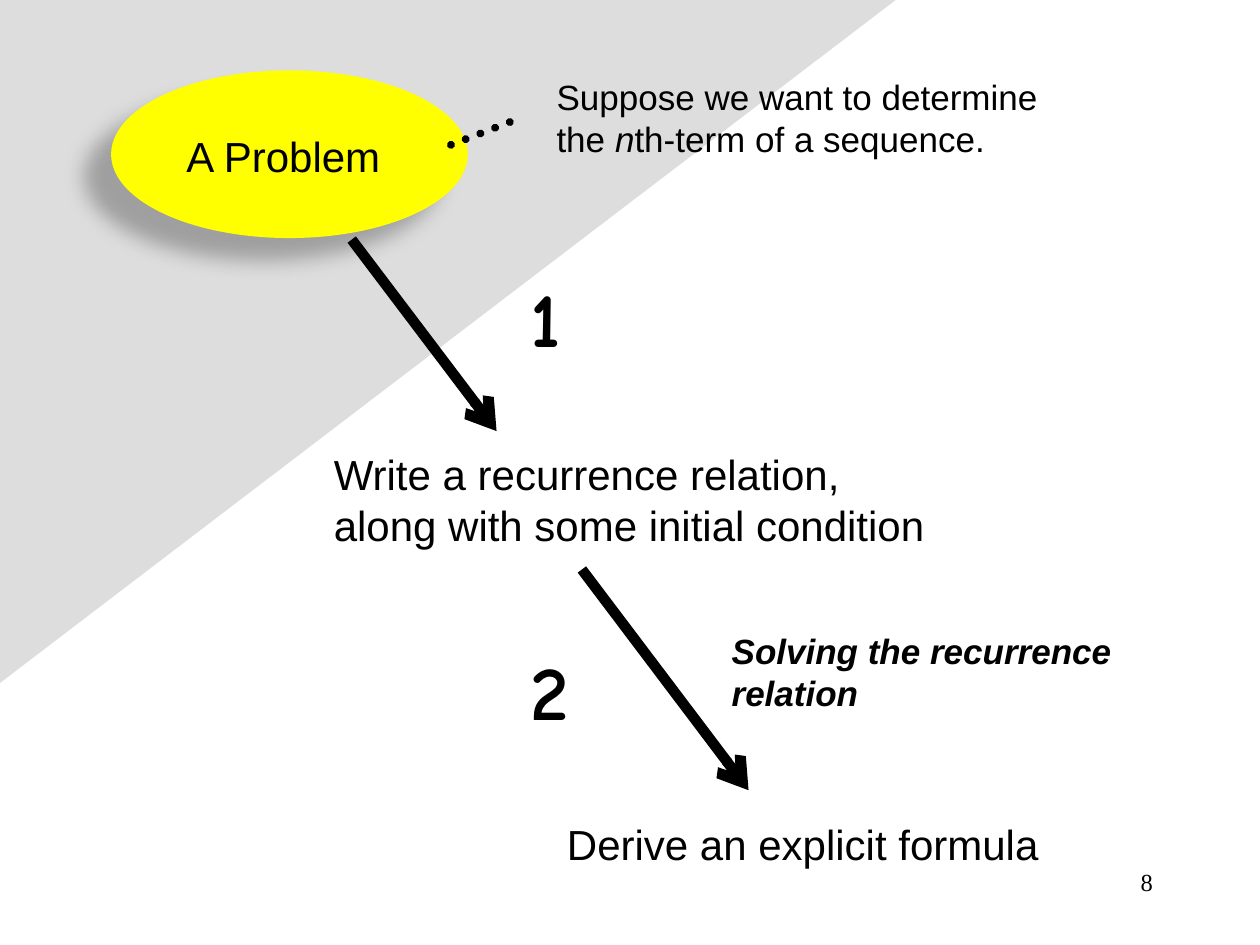
import pptx
import pptx.dml.color
import pptx.enum.dml
import pptx.enum.shapes
import pptx.enum.text
import pptx.oxml
import pptx.util
from pptx.util import Cm

SHAPE = pptx.enum.shapes.MSO_SHAPE
ALIGN = pptx.enum.text.PP_ALIGN
NS = 'xmlns:a="http://schemas.openxmlformats.org/drawingml/2006/main"'


def rgb(value):
    return pptx.dml.color.RGBColor.from_string(value)


def add_text(text, x, y, w, h, size=24, font="Arial", bold=False,
             italic=False, align=ALIGN.LEFT, wrap=False):
    """Add a text box; each line is a paragraph, *marked* parts are italic."""
    tf = s.shapes.add_textbox(Cm(x), Cm(y), Cm(w), Cm(h)).text_frame
    tf.word_wrap = wrap
    for i, line in enumerate(text.split("\n")):
        p = tf.paragraphs[0] if i == 0 else tf.add_paragraph()
        p.alignment = align
        for j, part in enumerate(line.split("*")):
            r = p.add_run()
            r.text = part
            r.font.name = font
            r.font.size = pptx.util.Pt(size)
            r.font.bold = bold
            r.font.italic = italic or j % 2 == 1
            r.font.color.rgb = rgb("000000")


prs = pptx.Presentation()
prs.slide_width, prs.slide_height = Cm(25.4), Cm(19.05)
s = prs.slides.add_slide(prs.slide_layouts[6])

# Corner triangle and problem ellipse
for kind, x, y, w, h, color in [
    (SHAPE.RIGHT_TRIANGLE, 0, 0, 18.06, 13.77, "DDDDDD"),
    (SHAPE.OVAL, 2.24, 1.42, 7.19, 3.38, "FFFF00"),
]:
    sp = s.shapes.add_shape(kind, Cm(x), Cm(y), Cm(w), Cm(h))
    sp.shadow.inherit = False
    sp.fill.solid()
    sp.fill.fore_color.rgb = rgb(color)
    sp.line.fill.background()
    if kind == SHAPE.RIGHT_TRIANGLE:
        sp._element.spPr.xfrm.set("flipV", "1")
    else:
        effects = sp._element.spPr.find(pptx.oxml.ns.qn("a:effectLst"))
        effects.append(pptx.oxml.parse_xml(
            f'<a:outerShdw {NS} blurRad="150000" dist="250000" dir="8460000" '
            'algn="ctr" rotWithShape="0"><a:srgbClr val="000000">'
            '<a:alpha val="28000"/></a:srgbClr></a:outerShdw>'))

# Step arrows and the dotted link to the remark
for x1, y1, x2, y2, width, dotted in [
    (7.09, 4.83, 10.01, 8.69, 6, False),
    (11.73, 11.48, 15.09, 15.93, 6, False),
    (9.09, 2.92, 10.46, 2.39, 4.5, True),
]:
    c = s.shapes.add_connector(pptx.enum.shapes.MSO_CONNECTOR.STRAIGHT,
                               Cm(x1), Cm(y1), Cm(x2), Cm(y2))
    c.line.color.rgb = rgb("000000")
    c.line.width = pptx.util.Pt(width)
    ln = c.line._get_or_add_ln()
    if dotted:
        c.line.dash_style = pptx.enum.dml.MSO_LINE.ROUND_DOT
        ln.set("cap", "rnd")
    else:
        ln.append(pptx.oxml.parse_xml(f'<a:tailEnd {NS} type="arrow"/>'))
    c._element.spPr.append(pptx.oxml.parse_xml(f"<a:effectLst {NS}/>"))

# Steps
add_text("A Problem", 3.51, 2.51, 4.52, 1.27)
add_text("Write a recurrence relation,\nalong with some initial condition",
         6.48, 8.92, 12.55, 2.31)
add_text("Derive an explicit formula", 11.18, 16.38, 10.13, 1.27)

# Remarks
add_text("Suppose we want to determine\nthe *n*th-term of a sequence.",
         10.97, 1.4, 10.39, 1.96, size=20)
add_text("Solving the recurrence relation", 14.5, 12.57, 9.4, 1.96,
         size=20, bold=True, italic=True, wrap=True)

# Step numbers and slide number
for number, y in [("1", 5.33), ("2", 12.85)]:
    add_text(number, 10.44, y, 1.45, 2.11, size=44, font="Comic Neue", bold=True)
add_text("8", 18.21, 17.35, 5.28, 1.27, size=14, font="Times New Roman",
         align=ALIGN.RIGHT, wrap=True)

prs.save("out.pptx")
